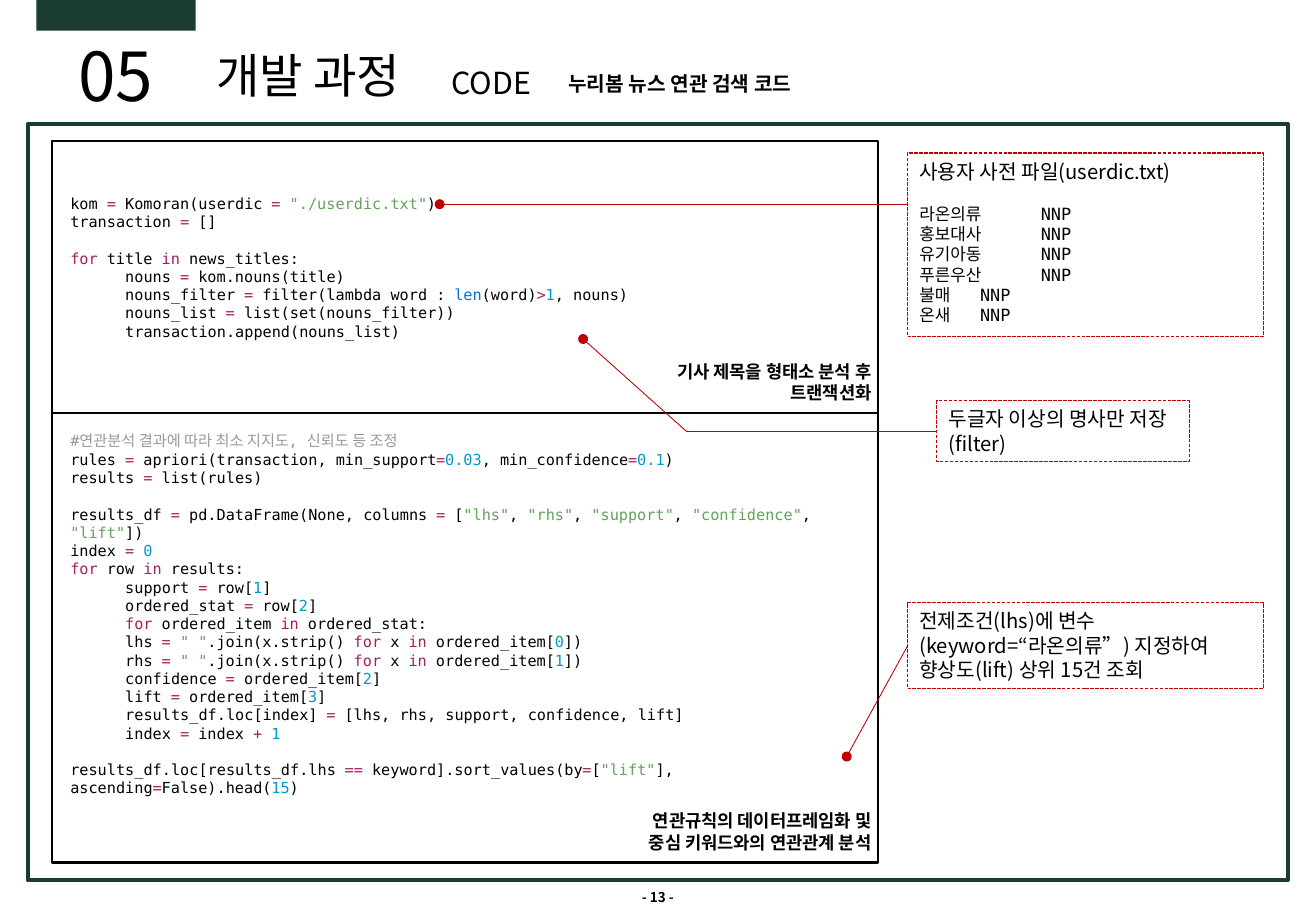
from dataclasses import dataclass
from itertools import groupby, pairwise
from typing import NamedTuple

from lxml.etree import SubElement
from pptx import Presentation
from pptx.dml.color import RGBColor
from pptx.enum.dml import MSO_LINE
from pptx.enum.shapes import MSO_CONNECTOR, MSO_SHAPE
from pptx.enum.text import MSO_ANCHOR, PP_ALIGN
from pptx.oxml.ns import qn
from pptx.util import Cm, Pt


@dataclass(frozen=True)
class Theme:
    green: str = "1A3C33"
    red: str = "C00000"
    white: str = "FFFFFF"
    black: str = "000000"
    code: str = "010101"
    keyword: str = "A71D5D"
    string: str = "63A35C"
    number: str = "0099CC"
    builtin: str = "066DE2"
    comment: str = "999999"
    sans: str = "Noto Sans CJK KR"
    mono: str = "DejaVu Sans Mono"
    number_size: float = 40
    title_size: float = 28
    label_size: float = 18
    body_size: float = 12
    caption_size: float = 10.5
    entry_size: float = 10
    code_size: float = 9
    page_size: float = 8
    code_gap: float = 10.8
    entry_gap: float = 12


THEME = Theme()


class Box(NamedTuple):
    left: float
    top: float
    width: float
    height: float

    def inner(self, x, y, width, height):
        return Box(self.left + x, self.top + y, width, height)

    def lengths(self):
        return [Cm(value) for value in self]


TRANSACTION_CODE = """kom = Komoran(userdic = "./userdic.txt")
transaction = []

for title in news_titles:
      nouns = kom.nouns(title)
      nouns_filter = filter(lambda word : len(word)>1, nouns)
      nouns_list = list(set(nouns_filter))
      transaction.append(nouns_list)"""

RULES_CODE = """#연관분석 결과에 따라 최소 지지도, 신뢰도 등 조정
rules = apriori(transaction, min_support=0.03, min_confidence=0.1)
results = list(rules)

results_df = pd.DataFrame(None, columns = ["lhs", "rhs", "support", "confidence", "lift"])
index = 0
for row in results:
      support = row[1]
      ordered_stat = row[2]
      for ordered_item in ordered_stat:
      lhs = " ".join(x.strip() for x in ordered_item[0])
      rhs = " ".join(x.strip() for x in ordered_item[1])
      confidence = ordered_item[2]
      lift = ordered_item[3]
      results_df.loc[index] = [lhs, rhs, support, confidence, lift]
      index = index + 1

results_df.loc[results_df.lhs == keyword].sort_values(by=["lift"], ascending=False).head(15)"""


def character_class(char):
    if char.isalpha() or char == "_":
        return "word"
    if char.isdigit():
        return "digit"
    return "operator" if char in "=+>" else char


def code_runs(line):
    """Split a code line into (text, colour) runs."""
    if line.startswith("#"):
        return [(line, THEME.comment)]
    words = {"for": THEME.keyword, "in": THEME.keyword, "len": THEME.builtin}
    classes = {"operator": THEME.keyword, "digit": THEME.number}
    tokens = []
    for position, part in enumerate(line.split('"')):
        if position % 2:
            tokens.append((f'"{part}"', THEME.string))
            continue
        for kind, chars in groupby(part, character_class):
            token = "".join(chars)
            colour = classes.get(kind, words.get(token, THEME.code))
            if token == "." and tokens and tokens[-1][1] == THEME.number:
                colour = THEME.number
            tokens.append((token, colour))
    return [("".join(text for text, _ in group), colour)
            for colour, group in groupby(tokens, lambda token: token[1])]


def write(frame, lines, size=THEME.body_size, font=THEME.sans, bold=False,
          align=PP_ALIGN.LEFT, gap=0, tab=None):
    """Append paragraphs; a line is a string or a list of (text, colour) runs."""
    for index, line in enumerate(lines):
        started = bool(frame.paragraphs[0].runs)
        paragraph = frame.add_paragraph() if started else frame.paragraphs[0]
        paragraph.alignment = align
        if tab:
            paragraph._p.get_or_add_pPr().set("defTabSz", str(Cm(tab)))
        if started and index == 0 and gap:
            paragraph.space_before = Pt(gap)
        for text, colour in [(line, THEME.black)] if isinstance(line, str) else line:
            run = paragraph.add_run()
            run.text = text
            run.font.size, run.font.bold, run.font.name = Pt(size), bold, font
            run.font.color.rgb = RGBColor.from_string(colour)
            SubElement(run._r.rPr, qn("a:ea")).set("typeface", THEME.sans)


def add_label(slide, box, lines=(), **text_format):
    frame = slide.shapes.add_textbox(*box.lengths()).text_frame
    frame.word_wrap = True
    write(frame, lines, **text_format)
    return frame


def add_rect(slide, box, fill=None, line=None, width=1.0):
    rect = slide.shapes.add_shape(MSO_SHAPE.RECTANGLE, *box.lengths())
    rect.shadow.inherit = False
    if fill:
        rect.fill.solid()
        rect.fill.fore_color.rgb = RGBColor.from_string(fill)
    else:
        rect.fill.background()
    if line:
        rect.line.color.rgb = RGBColor.from_string(line)
        rect.line.width = Pt(width)
    else:
        rect.line.fill.background()
    return rect


def add_line(slide, start, end, colour, width, dot=False):
    line = slide.shapes.add_connector(
        MSO_CONNECTOR.STRAIGHT, *[Cm(value) for value in (*start, *end)])
    line.line.color.rgb = RGBColor.from_string(colour)
    line.line.width = Pt(width)
    if dot:
        SubElement(line.line._get_or_add_ln(), qn("a:headEnd")).set("type", "oval")
    SubElement(line._element.spPr, qn("a:effectLst"))


def add_header(slide, box):
    add_rect(slide, box.inner(0, 0, 3.33, 0.64), fill=THEME.green)
    add_label(slide, box.inner(0.41, 0.58, 2.49, 1.96), ["05"],
              size=THEME.number_size, align=PP_ALIGN.CENTER)
    add_label(slide, box.inner(3.51, 0.84, 5.08, 1.45), ["개발 과정"], size=THEME.title_size)
    add_label(slide, box.inner(8.43, 1.22, 2.4, 1.02), ["CODE"], size=THEME.label_size)
    add_label(slide, box.inner(10.87, 1.37, 5.79, 0.76), ["누리봄 뉴스 연관 검색 코드"], bold=True)


def add_code_section(slide, box, code, code_top, caption):
    frame = add_label(slide, box.inner(0.38, code_top, box.width - 0.38,
                                       box.height - code_top - 1.22))
    frame.margin_left = frame.margin_right = frame.margin_top = frame.margin_bottom = 0
    for block in code.split("\n\n"):
        write(frame, [code_runs(line) for line in block.split("\n")],
              size=THEME.code_size, font=THEME.mono, gap=THEME.code_gap)
    add_label(slide, box.inner(box.width - 8.15, box.height - 1.22, 8.26, 1.19), caption,
              size=THEME.caption_size, bold=True, align=PP_ALIGN.RIGHT)


def add_callout(slide, box, lines, leader, wrap=True):
    """Dashed note whose leader points are offsets from its top left corner."""
    note = add_rect(slide, box, line=THEME.red, width=0.75)
    note.line.dash_style = MSO_LINE.SQUARE_DOT
    frame = note.text_frame
    frame.word_wrap = wrap
    frame.vertical_anchor = MSO_ANCHOR.TOP
    write(frame, lines)
    points = [(box.left + x, box.top + y) for x, y in leader]
    for index, (start, end) in enumerate(pairwise(points)):
        add_line(slide, start, end, THEME.red, 0.5, dot=index == 0)
    return frame


def add_code_panel(slide, box, split):
    add_rect(slide, box, line=THEME.black, width=1.5)
    middle = box.top + split
    add_line(slide, (box.left, middle), (box.left + box.width, middle), THEME.black, 1.5)
    add_code_section(slide, box.inner(0, 0, box.width, split), TRANSACTION_CODE, 1.11,
                     ["기사 제목을 형태소 분석 후", "트랜잭션화"])
    add_code_section(slide, box.inner(0, split, box.width, box.height - split), RULES_CODE, 0.39,
                     ["연관규칙의 데이터프레임화 및", "중심 키워드와의 연관관계 분석"])


def add_notes_column(slide, box):
    dictionary = add_callout(slide, box.inner(0, 0, box.width, 3.84),
                             ["사용자 사전 파일(userdic.txt)"], [(-9.78, 1.07), (0, 1.07)])
    entries = ["라온의류", "홍보대사", "유기아동", "푸른우산", "불매", "온새"]
    write(dictionary, [f"{entry}\tNNP" for entry in entries], size=THEME.entry_size,
          font=THEME.mono, gap=THEME.entry_gap, tab=1.27)
    add_callout(slide, box.inner(0.61, 5.18, 5.28, 1.27), ["두글자 이상의 명사만 저장", "(filter)"],
                [(-7.39, -1.29), (-5.23, 0.64), (0, 0.64)], wrap=False)
    add_callout(slide, box.inner(0, 9.4, box.width, 1.8),
                ["전제조건(lhs)에 변수(keyword=“라온의류”) 지정하여", "향상도(lift) 상위 15건 조회"],
                [(-1.27, 3.22), (0, 0.91)])


def main():
    presentation = Presentation()
    presentation.slide_width, presentation.slide_height = Cm(27.51), Cm(19.05)
    slide = presentation.slides.add_slide(presentation.slide_layouts[6])
    add_rect(slide, Box(0.58, 2.59, 26.34, 15.82), THEME.white, THEME.green, 2.25)
    add_header(slide, Box(0.76, 0, 26, 2.59))
    add_code_panel(slide, Box(1.09, 2.95, 17.27, 15.09), split=5.69)
    add_notes_column(slide, Box(18.97, 3.2, 7.44, 11.2))
    add_label(slide, Box(12.37, 18.47, 2.77, 0.61), ["- 13 -"],
              size=THEME.page_size, bold=True, align=PP_ALIGN.CENTER)
    presentation.save("out.pptx")


if __name__ == "__main__":
    main()
